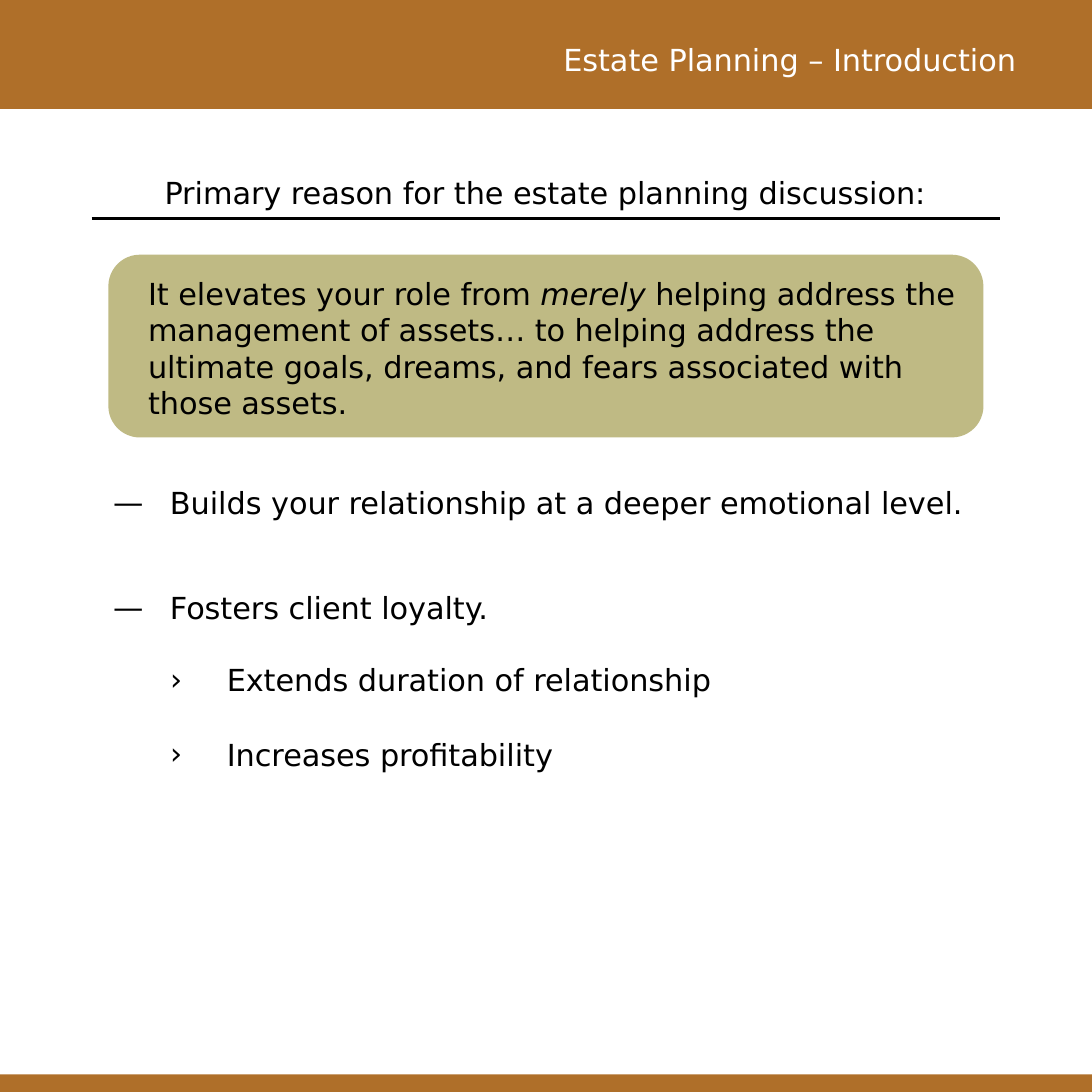
from lxml import etree
from pptx import Presentation
from pptx import util as u
from pptx.dml.color import RGBColor
from pptx.enum import shapes, text
from pptx.oxml.ns import qn

BROWN, OLIVE, WHITE, BLACK = "AF6F29", "BFBA84", "FFFFFF", "000000"
FONT = {"name": "DejaVu Sans", "size": u.Pt(10)}
TITLE = [("Estate Planning – Introduction", False)]
HEADING = [("Primary reason for the estate planning discussion:", False)]
REASON = [
    ("It elevates your role from ", False),
    ("merely", True),
    (" helping address the management of assets… to helping address the "
     "ultimate goals, dreams, and fears associated with those assets.", False),
]
BENEFITS = [
    (2.17, 0, "Builds your relationship at a deeper emotional level."),
    (2.65, 0, "Fosters client loyalty."),
    (2.98, 1, "Extends duration of relationship"),
    (3.32, 1, "Increases profitability"),
]
BULLETS = ["—", "›"]
INDENT = 0.26
COLUMN_LEFT, COLUMN_WIDTH, LINE_HEIGHT = 0.42, 4.15, 0.27
LEFT, CENTER, RIGHT = text.PP_ALIGN.LEFT, text.PP_ALIGN.CENTER, text.PP_ALIGN.RIGHT


def inches(*lengths):
    return [u.Inches(length) for length in lengths]


def paint(fill, color):
    fill.solid()
    fill.fore_color.rgb = RGBColor.from_string(color)


def add_panel(slide, kind, place, color):
    panel = slide.shapes.add_shape(kind, *inches(*place))
    panel.shadow.inherit = False
    paint(panel.fill, color)
    panel.line.fill.background()
    return panel


def add_words(slide, place, runs, align=LEFT, color=BLACK):
    frame = slide.shapes.add_textbox(*inches(*place)).text_frame
    frame.word_wrap = True
    paragraph = frame.paragraphs[0]
    paragraph.alignment = align
    for words, italic in runs:
        run = paragraph.add_run()
        run.text = words
        for key, value in {**FONT, "italic": italic}.items():
            setattr(run.font, key, value)
        paint(run.font.fill, color)
    return paragraph


def add_bullet(paragraph, level):
    paragraph.level = level
    props = paragraph._p.get_or_add_pPr()
    props.set("marL", str(u.Inches(INDENT * (level + 1))))
    props.set("indent", str(-u.Inches(INDENT)))
    bullet_color = etree.SubElement(props, qn("a:buClr"))
    etree.SubElement(bullet_color, qn("a:srgbClr"), val=BLACK)
    etree.SubElement(props, qn("a:buFont"), typeface=FONT["name"])
    etree.SubElement(props, qn("a:buChar"), char=BULLETS[level])


def main():
    deck = Presentation()
    deck.slide_width, deck.slide_height = inches(5, 5)
    slide = deck.slides.add_slide(deck.slide_layouts[6])
    paint(slide.background.fill, BROWN)

    add_panel(slide, shapes.MSO_SHAPE.RECTANGLE, (0, 0.5, 5, 4.42), WHITE)
    add_words(slide, (0.67, 0.14, 4.08, LINE_HEIGHT), TITLE, RIGHT, WHITE)

    reason_panel = add_panel(
        slide, shapes.MSO_SHAPE.ROUNDED_RECTANGLE, (0.5, 1.17, 4, 0.83), OLIVE)
    reason_panel.adjustments[0] = 0.17
    paint(reason_panel.line.fill, OLIVE)
    reason_panel.line.width = u.Pt(0.5)
    add_words(slide, (0.58, 1.21, 3.93, 0.6), REASON)

    add_words(slide, (COLUMN_LEFT, 0.75, COLUMN_WIDTH, LINE_HEIGHT), HEADING, CENTER)
    rule = slide.shapes.add_connector(
        shapes.MSO_CONNECTOR.STRAIGHT, *inches(COLUMN_LEFT, 1, 5 - COLUMN_LEFT, 1))
    paint(rule.line.fill, BLACK)
    rule.line.width = u.Pt(0.75)
    etree.SubElement(rule._element.spPr, qn("a:effectLst"))

    for top, level, benefit in BENEFITS:
        place = (COLUMN_LEFT, top, COLUMN_WIDTH, LINE_HEIGHT)
        add_bullet(add_words(slide, place, [(benefit, False)]), level)

    deck.save("out.pptx")


if __name__ == "__main__":
    main()
